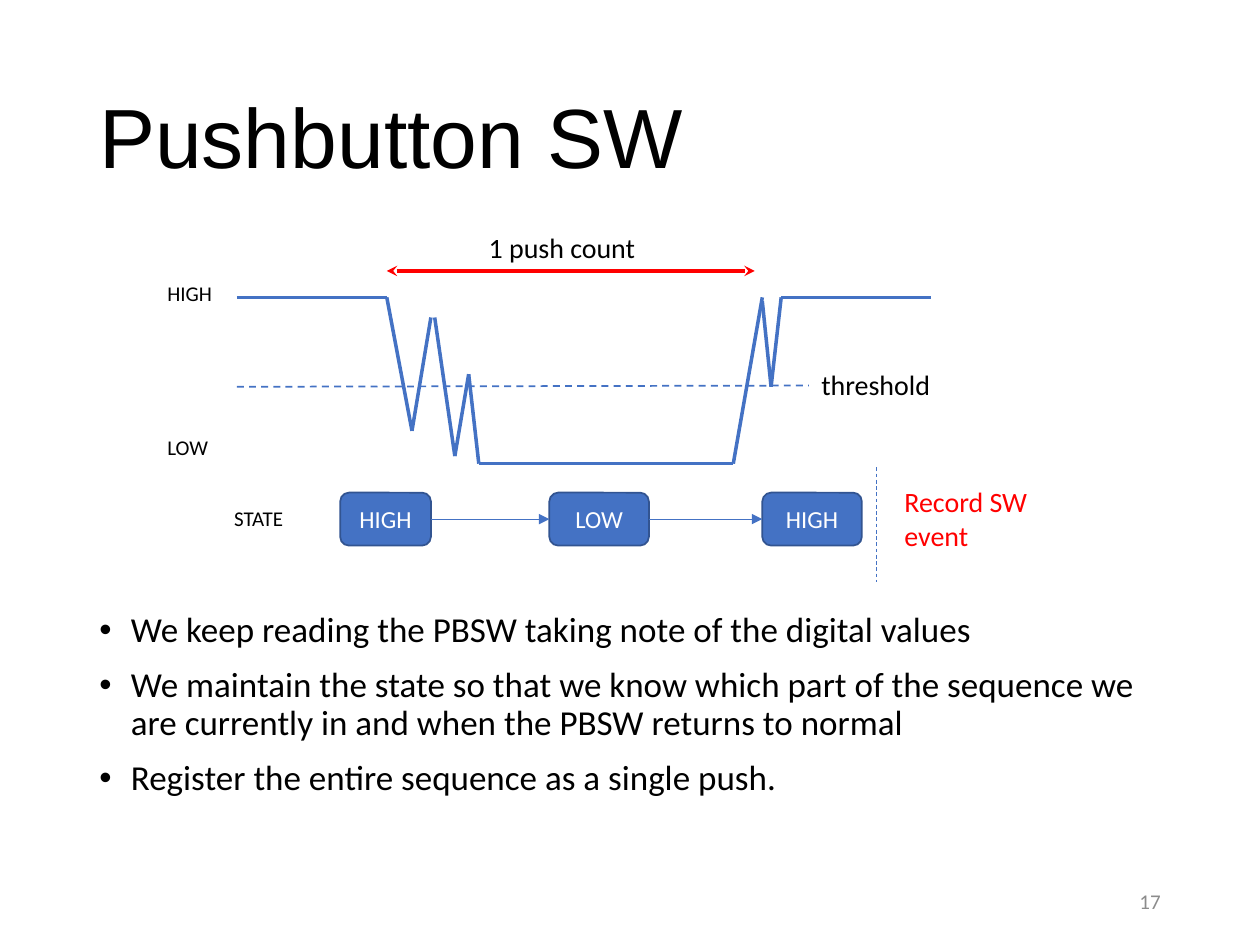
from itertools import pairwise

from lxml.etree import SubElement
from pptx import Presentation
from pptx.dml.color import RGBColor
from pptx.enum.dml import MSO_LINE_DASH_STYLE as DASH
from pptx.enum.shapes import MSO_CONNECTOR, MSO_SHAPE
from pptx.enum.text import MSO_ANCHOR as ANCHOR, PP_ALIGN as ALIGN
from pptx.oxml.ns import qn
from pptx.util import Inches, Pt

BLACK, WHITE, GRAY, RED = "000000", "FFFFFF", "8C8C8C", "FF0000"
BLUE, DARK_BLUE = "4472C4", "325491"

TITLE = "Pushbutton SW"
BULLETS = [
    "We keep reading the PBSW taking note of the digital values",
    "We maintain the state so that we know which part of the sequence we "
    "are currently in and when the PBSW returns to normal",
    "Register the entire sequence as a single push.",
]
HIGH_Y, LOW_Y, THRESHOLD_Y = 2.36, 3.68, 3.07
SIGNAL_STROKES = [
    [(1.88, HIGH_Y), (3.07, HIGH_Y), (3.27, 3.42), (3.42, 2.52)],
    [(3.45, 2.52), (3.61, 3.62), (3.72, 2.97), (3.8, LOW_Y),
     (5.82, LOW_Y), (6.05, HIGH_Y)],
    [(6.05, 2.39), (6.12, THRESHOLD_Y), (6.2, HIGH_Y), (7.39, HIGH_Y)],
]
# text, box, size, colour
LABELS = [
    ("threshold", (6.42, 2.87, 1.08, 0.37), 16, BLACK),
    ("HIGH", (1.23, 2.18, 0.56, 0.3), 12, BLACK),
    ("LOW", (1.23, 3.4, 0.53, 0.3), 12, BLACK),
    ("1 push count", (3.78, 1.78, 1.38, 0.37), 16, BLACK),
    ("STATE", (1.76, 3.96, 0.6, 0.3), 12, BLACK),
    ("Record SW\nevent", (7.08, 3.8, 1.19, 0.64), 16, RED),
]
# text, left, width
STATES = [("HIGH", 2.7, 0.72), ("LOW", 4.36, 0.79), ("HIGH", 6.05, 0.79)]
STATE_TOP, STATE_HEIGHT = 3.91, 0.42


def rgb(color):
    return RGBColor.from_string(color)


def write(shape, *texts, size, color=BLACK, font="Calibri", align=ALIGN.LEFT,
          anchor=ANCHOR.TOP, wrap=True, spacing=None, bullet=False):
    """Fill a shape with one paragraph per text."""
    frame = shape.text_frame
    frame.word_wrap = wrap
    frame.vertical_anchor = anchor
    for index, text in enumerate(texts):
        paragraph = frame.add_paragraph() if index else frame.paragraphs[0]
        paragraph.text = text
        paragraph.alignment = align
        paragraph.line_spacing = spacing
        if bullet:
            paragraph.space_before = Pt(10)
            properties = paragraph._p.get_or_add_pPr()
            properties.set("marL", str(Inches(0.25)))
            properties.set("indent", str(Inches(-0.25)))
            SubElement(properties, qn("a:buFont"), typeface="Arial")
            SubElement(properties, qn("a:buChar"), char="•")
        for run in paragraph.runs:
            run.font.name = font
            run.font.size = Pt(size)
            run.font.color.rgb = rgb(color)


def add_text(slide, box, *texts, **text_format):
    textbox = slide.shapes.add_textbox(*map(Inches, box))
    write(textbox, *texts, **text_format)


def add_line(slide, start, end, width, color=BLUE, dashed=False, head=None, tail=None):
    """Draw a straight line; head is the arrowhead at start, tail the one at end."""
    connector = slide.shapes.add_connector(
        MSO_CONNECTOR.STRAIGHT, *map(Inches, (*start, *end)))
    connector.line.width = Pt(width)
    connector.line.color.rgb = rgb(color)
    if dashed:
        connector.line.dash_style = DASH.DASH
    for tag, arrow in (("a:headEnd", head), ("a:tailEnd", tail)):
        if arrow:
            SubElement(connector.line._get_or_add_ln(), qn(tag), type=arrow)
    SubElement(connector._element.spPr, qn("a:effectLst"))


def add_state(slide, text, left, width):
    shape = slide.shapes.add_shape(
        MSO_SHAPE.ROUNDED_RECTANGLE,
        *map(Inches, (left, STATE_TOP, width, STATE_HEIGHT)))
    shape.shadow.inherit = False
    shape.fill.solid()
    shape.fill.fore_color.rgb = rgb(BLUE)
    shape.line.color.rgb = rgb(DARK_BLUE)
    shape.line.width = Pt(1)
    write(shape, text, size=14, color=WHITE, align=ALIGN.CENTER, anchor=ANCHOR.MIDDLE)


def main():
    presentation = Presentation()
    presentation.slide_width, presentation.slide_height = Inches(10), Inches(7.5)
    slide = presentation.slides.add_slide(presentation.slide_layouts[6])

    add_text(slide, (0.69, 0.4, 8.62, 1.45), TITLE, size=48, font="Arial",
             anchor=ANCHOR.MIDDLE, spacing=0.9)
    add_text(slide, (0.69, 4.81, 8.62, 2.03), *BULLETS, size=20, spacing=0.9,
             bullet=True)
    add_text(slide, (7.06, 6.95, 2.25, 0.4), "17", size=12, color=GRAY,
             align=ALIGN.RIGHT, anchor=ANCHOR.MIDDLE)

    for stroke in SIGNAL_STROKES:
        for start, end in pairwise(stroke):
            add_line(slide, start, end, 2)
    add_line(slide, (1.88, THRESHOLD_Y), (6.42, 3.06), 1, dashed=True)
    add_line(slide, (3.07, 2.15), (5.99, 2.15), 2, RED, head="stealth", tail="stealth")
    add_line(slide, (6.96, 3.71), (6.96, 4.62), 0.5, dashed=True)

    for text, box, size, color in LABELS:
        add_text(slide, box, text, size=size, color=color, wrap=False)

    for state in STATES:
        add_state(slide, *state)
    middle = STATE_TOP + STATE_HEIGHT / 2
    for (_, left, width), (_, next_left, _) in pairwise(STATES):
        add_line(slide, (left + width, middle), (next_left, middle), 0.5,
                 tail="triangle")

    presentation.save("out.pptx")


if __name__ == "__main__":
    main()
